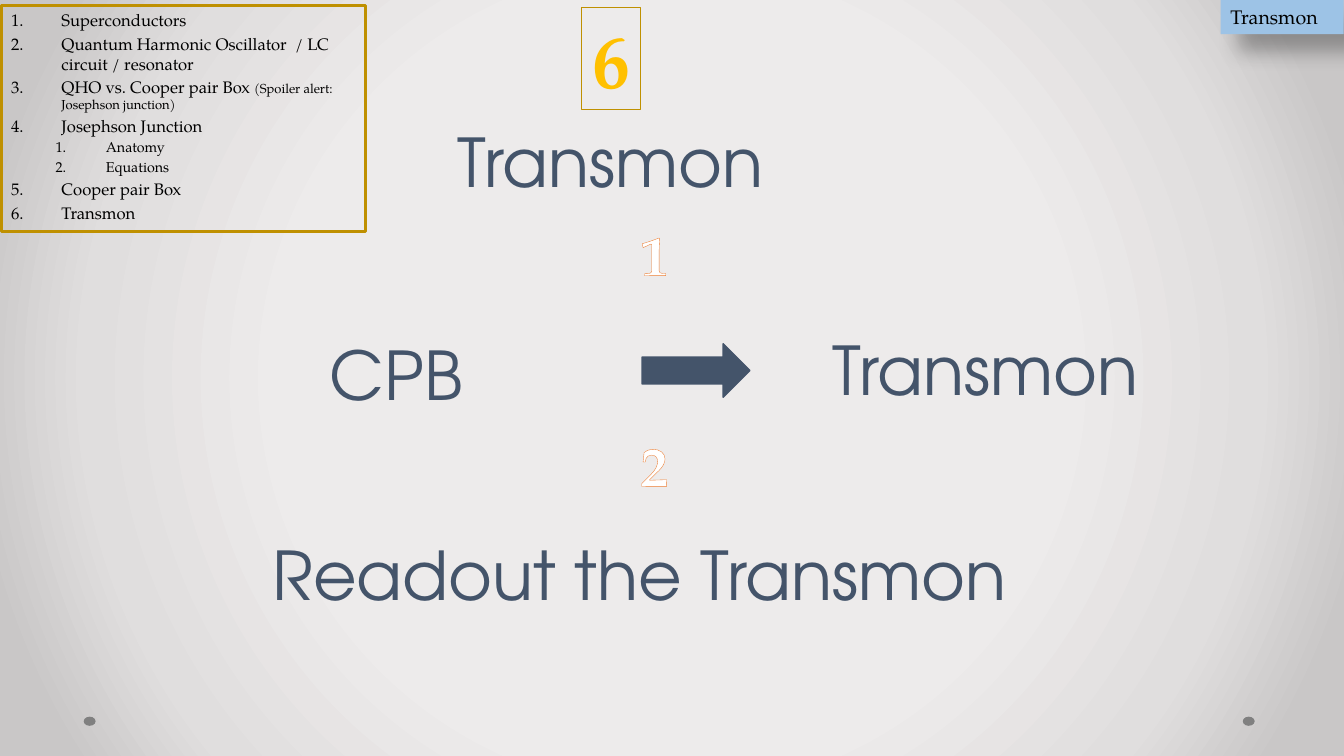
from dataclasses import dataclass
from typing import Optional

from lxml import etree
from pptx import Presentation
from pptx.dml.color import RGBColor
from pptx.enum.shapes import MSO_SHAPE
from pptx.enum.text import MSO_ANCHOR, MSO_AUTO_SIZE, PP_ALIGN
from pptx.oxml import parse_xml
from pptx.oxml.ns import nsdecls, qn
from pptx.util import Cm, Pt

RECT, OVAL, ARROW = MSO_SHAPE.RECTANGLE, MSO_SHAPE.OVAL, MSO_SHAPE.LEFT_ARROW
TOP, BOTTOM = MSO_ANCHOR.TOP, MSO_ANCHOR.BOTTOM
LEFT, CENTER = PP_ALIGN.LEFT, PP_ALIGN.CENTER
GROW, FIXED = MSO_AUTO_SIZE.SHAPE_TO_FIT_TEXT, MSO_AUTO_SIZE.NONE

INK = {
    "slate": "44546A", "gold": "BF9000", "amber": "FFC000", "sky": "9DC3E6",
    "black": "000000", "white": "FFFFFF", "orange": "ED7D31", "gray": "808080",
    "pale": "EDEBEB", "mid": "E0DEDE", "dark": "C9C7C7",
}
SANS, SERIF = "TeX Gyre Adventor", "TeX Gyre Pagella"
FACE = {
    "head": {"size": Pt(48), "name": SANS},
    "big": {"size": Pt(54), "name": SERIF, "bold": True},
    "step": {"size": Pt(40), "name": SERIF, "bold": True},
    "tag": {"size": Pt(14), "name": SERIF},
    "list": {"size": Pt(11.9), "name": SERIF},
    "sub": {"size": Pt(10.2), "name": SERIF},
    "note": {"size": Pt(9.3), "name": SERIF},
}


@dataclass
class Box:
    x: float
    y: float
    w: float
    h: float
    fill: Optional[str] = None
    line: Optional[str] = None
    width: float = 0


@dataclass
class Label:
    text: str
    face: str
    color: str
    box: Box


@dataclass
class Entry:
    text: str
    note: str = ""
    level: int = 0


def put_shape(slide, kind, box: Box):
    shape = slide.shapes.add_shape(kind, Cm(box.x), Cm(box.y), Cm(box.w), Cm(box.h))
    shape.shadow.inherit = False
    if box.fill:
        shape.fill.solid()
        shape.fill.fore_color.rgb = RGBColor.from_string(INK[box.fill])
    else:
        shape.fill.background()
    if box.line:
        shape.line.color.rgb = RGBColor.from_string(INK[box.line])
        shape.line.width = Pt(box.width)
    else:
        shape.line.fill.background()
    return shape


def set_frame(frame, wrap: bool, grow: bool, anchor=TOP):
    form = {"word_wrap": wrap, "auto_size": GROW if grow else FIXED,
            "vertical_anchor": anchor}
    for key, value in form.items():
        setattr(frame, key, value)


def put_run(para, text: str, face: str, color: str):
    run = para.add_run()
    run.text = text
    for key, value in FACE[face].items():
        setattr(run.font, key, value)
    run.font.color.rgb = RGBColor.from_string(INK[color])
    return run


def put_text(slide, label: Label):
    box = label.box
    shape = slide.shapes.add_textbox(Cm(box.x), Cm(box.y), Cm(box.w), Cm(box.h))
    head = label.face == "head"
    set_frame(shape.text_frame, head, not head, BOTTOM if head else TOP)
    para = shape.text_frame.paragraphs[0]
    para.alignment = CENTER
    if head:
        para.line_spacing = Pt(48)
    return put_run(para, label.text, label.face, label.color)


def put_label(slide, label: Label, wrap: bool, align):
    shape = put_shape(slide, RECT, label.box)
    set_frame(shape.text_frame, wrap, True)
    para = shape.text_frame.paragraphs[0]
    para.alignment = align
    put_run(para, label.text, label.face, label.color)
    return shape


def put_list(slide, box: Box, entries: list[Entry]):
    frame = put_shape(slide, RECT, box).text_frame
    set_frame(frame, True, False)
    for i, entry in enumerate(entries):
        para = frame.paragraphs[0] if i == 0 else frame.add_paragraph()
        face = "sub" if entry.level else "list"
        props = para._p.get_or_add_pPr()
        props.set("marL", str(Cm(2.39 if entry.level else 1.27)))
        props.set("indent", str(-Cm(1.27)))
        etree.SubElement(props, qn("a:buAutoNum"), type="arabicPeriod")
        para.level = entry.level
        para.alignment = LEFT
        if i:
            para.space_before = Pt(FACE[face]["size"].pt * 0.2)
        put_run(para, entry.text, face, "black")
        if entry.note:
            put_run(para, entry.note, "note", "black")


def set_back(slide):
    stops = "".join(
        f'<a:gs pos="{pos}000"><a:srgbClr val="{INK[name]}"/></a:gs>'
        for pos, name in ((50, "pale"), (76, "mid"), (92, "dark")))
    slide.element.cSld.insert(0, parse_xml(
        f'<p:bg {nsdecls("p", "a")}><p:bgPr><a:gradFill rotWithShape="1">'
        f'<a:gsLst>{stops}</a:gsLst><a:path path="circle">'
        '<a:fillToRect l="50000" t="50000" r="50000" b="50000"/></a:path>'
        '</a:gradFill><a:effectLst/></p:bgPr></p:bg>'))


def add_shade(shape):
    effects = shape._element.spPr.find(qn("a:effectLst"))
    effects.append(parse_xml(
        f'<a:outerShdw {nsdecls("a")} blurRad="{Pt(15)}" dist="{Pt(18)}" '
        f'dir="2700000" algn="tl" rotWithShape="0"><a:srgbClr val="{INK["black"]}">'
        '<a:alpha val="30000"/></a:srgbClr></a:outerShdw>'))


def add_edge(run):
    run.font._element.insert(0, parse_xml(
        f'<a:ln {nsdecls("a")} w="{Pt(0.52)}"><a:solidFill>'
        f'<a:srgbClr val="{INK["orange"]}"/></a:solidFill></a:ln>'))


HEADS = [
    ("Transmon", Box(10.31, 3.07, 10.16, 2.11)),
    ("CPB", Box(6.6, 8.15, 6.78, 2.41)),
    ("Transmon", Box(19.76, 8.31, 10.16, 2.11)),
    ("Readout the Transmon", Box(4.7, 13.49, 22.83, 2.11)),
]
STEPS = [("1", 5.41), ("2", 10.72)]
TOPICS = [
    Entry("Superconductors"),
    Entry("Quantum Harmonic Oscillator  / LC circuit / resonator"),
    Entry("QHO vs. Cooper pair Box ", "(Spoiler alert: Josephson junction)"),
    Entry("Josephson Junction"),
    Entry("Anatomy", level=1),
    Entry("Equations", level=1),
    Entry("Cooper pair Box"),
    Entry("Transmon"),
]


def main():
    deck = Presentation()
    deck.slide_width, deck.slide_height = Cm(33.87), Cm(19.05)
    slide = deck.slides.add_slide(deck.slide_layouts[6])

    # Backdrop and corner dots
    set_back(slide)
    for x in (31.32, 2.11):
        put_shape(slide, OVAL, Box(x, 18.06, 0.3, 0.23, "gray"))

    # Headings and arrow
    for text, box in HEADS:
        put_text(slide, Label(text, "head", "slate", box))
    arrow = put_shape(slide, ARROW, Box(16.18, 8.66, 2.72, 1.35, "slate", "slate", 1))
    arrow.rotation = 180

    # Chapter number, corner tag and topic list
    put_label(slide, Label("6", "big", "amber",
                           Box(14.66, 0.2, 1.48, 2.57, None, "gold", 0.75)), False, CENTER)
    tag = put_label(slide, Label("Transmon", "tag", "black",
                                 Box(30.76, 0, 3.1, 0.86, "sky")), True, LEFT)
    add_shade(tag)
    put_list(slide, Box(0.03, 0.13, 9.19, 5.7, None, "gold", 2.25), TOPICS)

    # Step numbers
    for text, y in STEPS:
        add_edge(put_text(slide, Label(text, "step", "white", Box(15.88, y, 1.22, 1.96))))

    deck.save("out.pptx")


if __name__ == "__main__":
    main()
